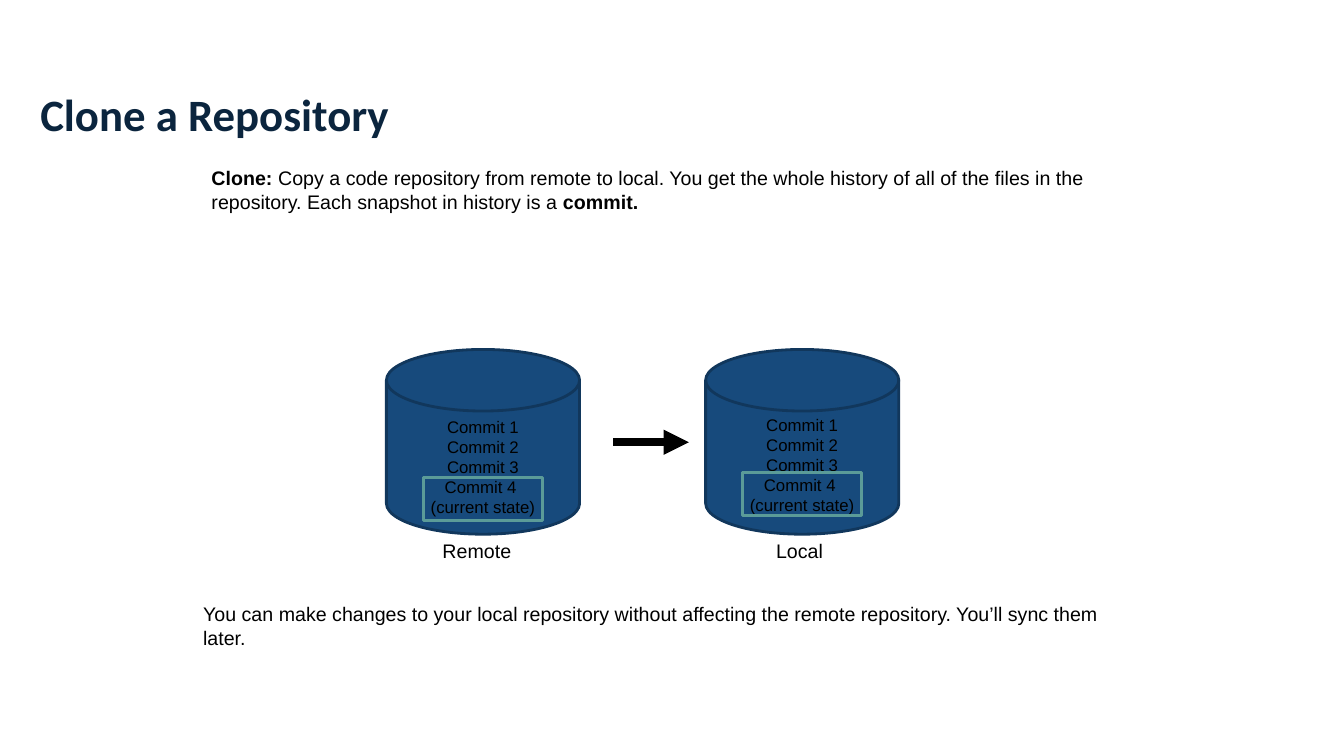
from pptx import Presentation
from pptx.dml.color import RGBColor
from pptx.enum.shapes import MSO_CONNECTOR, MSO_SHAPE
from pptx.enum.text import MSO_ANCHOR, PP_ALIGN
from pptx.oxml.ns import qn
from pptx.util import Inches, Pt
from lxml.etree import SubElement

THEME = {
    "title": RGBColor.from_string("0B253E"),
    "text": RGBColor.from_string("000000"),
    "disk": RGBColor.from_string("174A7C"),
    "disk_edge": RGBColor.from_string("11375C"),
    "highlight": RGBColor.from_string("5B9B98"),
    "title_font": "Calibri",
    "body_font": "Arial",
    "title_size": Pt(32),
    "body_size": Pt(14),
    "commit_size": Pt(12),
    "outline": Pt(2),
    "arrow": Pt(6),
}

deck = Presentation()
deck.slide_width, deck.slide_height = Inches(13.33), Inches(7.5)
page = deck.slides.add_slide(deck.slide_layouts[6])
column, row = deck.slide_width / 160, deck.slide_height / 90


def grid(left, top, width, height):
    return int(left * column), int(top * row), int(width * column), int(height * row)


def add_text(area, text, size="body_size", font="body_font", color="text", wrap=True):
    box = page.shapes.add_textbox(*grid(*area))
    box.text_frame.word_wrap = wrap
    box.text_frame.text = text
    for para in box.text_frame.paragraphs:
        para.font.size = THEME[size]
        for span in para.runs:
            span.font.name = THEME[font]
            span.font.size = THEME[size]
            span.font.color.rgb = THEME[color]
    return box.text_frame


title = add_text((4.8, 4.8, 150.5, 12), "Clone a Repository", "title_size", "title_font", "title")
title.margin_left = title.margin_right = title.margin_top = title.margin_bottom = 0
title.vertical_anchor = MSO_ANCHOR.BOTTOM
title.paragraphs[0].line_spacing = 0.9
title.paragraphs[0].runs[0].font.bold = True

definition = add_text((24, 19.2, 113, 6.8), "Clone:")
para = definition.paragraphs[0]
para.runs[0].font.bold = True
for text, bold in (
    (" Copy a code repository from remote to local. You get the whole history of all of "
     "the files in the repository. Each snapshot in history is a ", False),
    ("commit.", True),
):
    span = para.add_run()
    span.text = text
    span.font.name = THEME["body_font"]
    span.font.size = THEME["body_size"]
    span.font.color.rgb = THEME["text"]
    span.font.bold = bold

add_text((23, 71.06, 113, 6.8),
         "You can make changes to your local repository without affecting the remote "
         "repository. You’ll sync them later.")

commits = "Commit 1\nCommit 2\nCommit 3\nCommit 4 \n(current state)"
repositories = (
    ("Remote", 46, 51.5, 10.7, 48.96, 56.87),
    ("Local", 84, 91.2, 8, 48.74, 56.3),
)
for name, left, name_left, name_width, commits_top, state_top in repositories:
    disk = page.shapes.add_shape(MSO_SHAPE.FLOWCHART_MAGNETIC_DISK, *grid(left, 41.6, 23, 22))
    disk.shadow.inherit = False
    disk.fill.solid()
    disk.fill.fore_color.rgb = THEME["disk"]
    disk.line.color.rgb = THEME["disk_edge"]
    disk.line.width = THEME["outline"]

    add_text((name_left, 63.6, name_width, 4.1), name, wrap=False)
    history = add_text((left + 4, commits_top, 15, 13.3), commits, "commit_size", wrap=False)
    for para in history.paragraphs:
        para.alignment = PP_ALIGN.CENTER

    state = page.shapes.add_shape(MSO_SHAPE.RECTANGLE, *grid(left + 4.4, state_top, 14.2, 5.1))
    state.shadow.inherit = False
    state.fill.background()
    state.line.color.rgb = THEME["highlight"]
    state.line.width = THEME["outline"]

start_x, arrow_y, end_x, end_y = grid(73, 52.65, 82, 52.65)
arrow = page.shapes.add_connector(MSO_CONNECTOR.STRAIGHT, start_x, arrow_y, end_x, end_y)
arrow.line.color.rgb = THEME["text"]
arrow.line.width = THEME["arrow"]
SubElement(arrow.line._get_or_add_ln(), qn("a:tailEnd"), type="triangle")
SubElement(arrow._element.spPr, qn("a:effectLst"))

deck.save("out.pptx")
